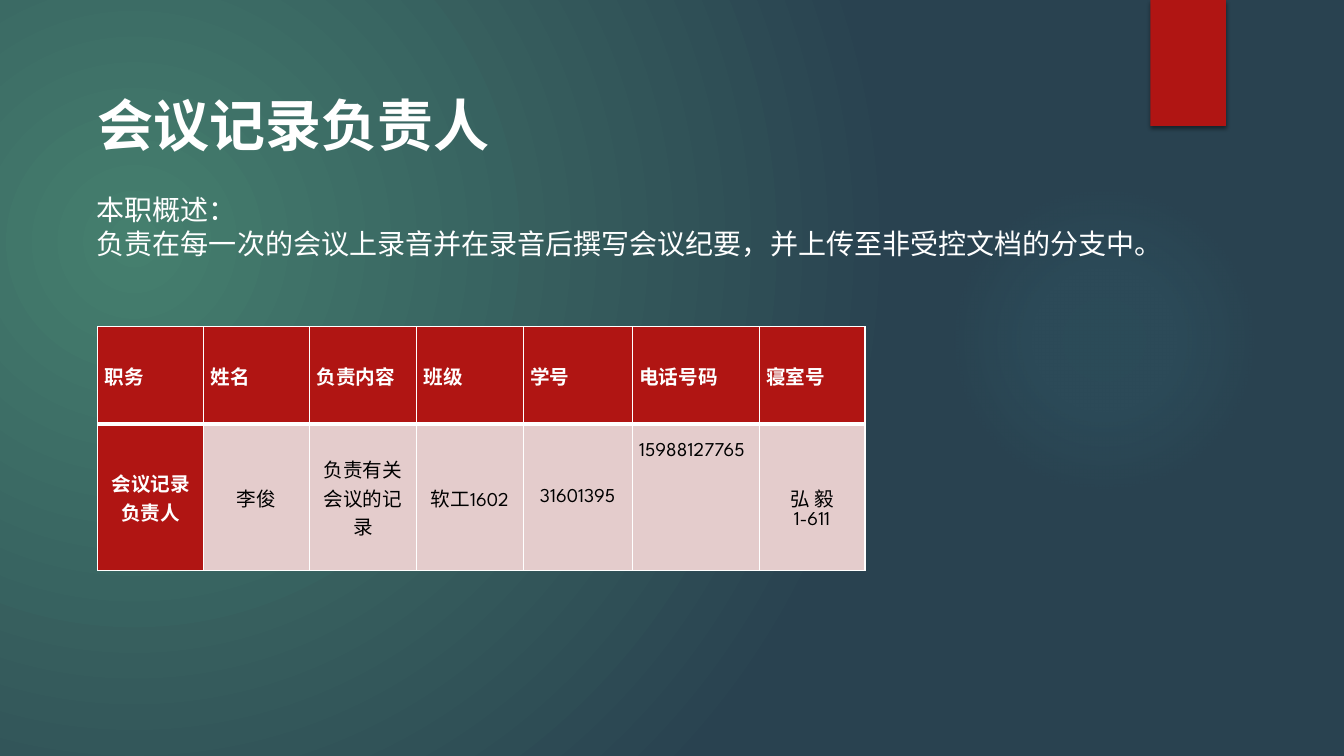
from lxml import etree
from pptx import Presentation
from pptx.dml.color import RGBColor
from pptx.enum import shapes, text
from pptx.oxml import ns
from pptx.util import Inches, Pt

COLORS = {"red": "B01513", "pink": "E4CCCC", "white": "FFFFFF", "black": "000000",
          "green": "457F6E", "navy": "294250", "glow": "50B9C1"}
ALIGN = text.PP_ALIGN
HEADERS = ["职务", "姓名", "负责内容", "班级", "学号", "电话号码", "寝室号"]
RECORDER = ["会议记录负责人", "李俊", "负责有关会议的记录", "软工1602",
            "31601395", "15988127765", "弘 毅\n1-611"]
COLUMN_WIDTHS = [1.05, 1.05, 1.06, 1.06, 1.08, 1.26, 1.05]
ROW_HEIGHTS = [0.97, 1.45]
PHONE, DORM = 5, 6


def rgb(name):
    return RGBColor.from_string(COLORS[name])


def add_xml(parent, tag, **attributes):
    child = etree.SubElement(parent, ns.qn(tag))
    for key, value in attributes.items():
        child.set(key, str(value))
    return child


def add_color(parent, name, alpha=100):
    color = add_xml(parent, "a:srgbClr", val=COLORS[name])
    if alpha < 100:
        add_xml(color, "a:alpha", val=alpha * 1000)


def set_radial(fill, holder, stops, focus):
    """Fill with a circular gradient; focus is left, top, right, bottom in percent."""
    fill.solid()
    solid = holder.find(ns.qn("a:solidFill"))
    gradient = etree.Element(ns.qn("a:gradFill"), rotWithShape="1")
    stop_list = add_xml(gradient, "a:gsLst")
    for position, name, alpha in stops:
        add_color(add_xml(stop_list, "a:gs", pos=position * 1000), name, alpha)
    circle = add_xml(gradient, "a:path", path="circle")
    add_xml(circle, "a:fillToRect", **{side: pct * 1000 for side, pct in zip("ltrb", focus)})
    holder.replace(solid, gradient)


def format_runs(paragraph, size, font, color, bold=False, east_asian=False):
    for run in paragraph.runs:
        run.font.size, run.font.name, run.font.bold = Pt(size), font, bold
        run.font.color.rgb = rgb(color)
        if east_asian:
            add_xml(run.font._element, "a:ea", typeface=font)


def place(shape, left, top, width, height):
    shape.left, shape.top = Inches(left), Inches(top)
    shape.width, shape.height = Inches(width), Inches(height)


def draw_backdrop(slide):
    background = slide.background.fill
    background.solid()
    set_radial(background, slide.element.find(".//" + ns.qn("p:bgPr")),
               [(0, "green", 100), (100, "navy", 100)], (45, 65, 125, 100))

    # Soft glow and red bookmark, both behind the text
    glow = slide.shapes.add_shape(shapes.MSO_SHAPE.OVAL, 0, 0, 0, 0)
    place(glow, 9.41, 1.83, 3.08, 3.08)
    set_radial(glow.fill, glow.element.spPr,
               [(0, "glow", 7), (36, "glow", 6), (69, "glow", 0)], (50, 50, 50, 50))
    bookmark = slide.shapes.add_shape(shapes.MSO_SHAPE.RECTANGLE, 0, 0, 0, 0)
    place(bookmark, 11.41, 0, 0.75, 1.25)
    bookmark.fill.solid()
    bookmark.fill.fore_color.rgb = rgb("red")
    for layer, decoration in enumerate((glow, bookmark), start=2):
        decoration.line.fill.background()
        decoration.shadow.inherit = False
        slide.shapes._spTree.insert(layer, decoration.element)
    effects = bookmark.element.spPr.find(ns.qn("a:effectLst"))
    shadow = add_xml(effects, "a:outerShdw", blurRad=Pt(3), dist=Pt(2),
                     dir=90 * 60000, rotWithShape=0)
    add_color(shadow, "black", 45)


def fill_heading(heading, left, top, width, height):
    place(heading, left, top, width, height)
    frame = heading.text_frame
    frame.text = "会议记录负责人"
    frame.vertical_anchor = text.MSO_ANCHOR.TOP
    frame.word_wrap = False
    frame.auto_size = text.MSO_AUTO_SIZE.NONE
    frame.paragraphs[0].alignment = ALIGN.LEFT
    format_runs(frame.paragraphs[0], 40, "Arial", "white", True, True)


def fill_overview(overview, left, top, width, height):
    place(overview, left, top, width, height)
    frame = overview.text_frame
    frame.text = "本职概述：\n负责在每一次的会议上录音并在录音后撰写会议纪要，并上传至非受控文档的分支中。"
    frame.vertical_anchor = text.MSO_ANCHOR.MIDDLE
    frame.word_wrap = True
    frame.auto_size = text.MSO_AUTO_SIZE.NONE
    for paragraph in frame.paragraphs:
        paragraph.alignment = ALIGN.LEFT
        paragraph.space_before = Pt(0)
        properties = paragraph._p.get_or_add_pPr()
        properties.set("marL", "0")
        properties.set("indent", str(Inches(0.33)))
        add_xml(properties, "a:buNone")
        format_runs(paragraph, 20, "Calibri", "white", east_asian=True)


def set_borders(cell, widths):
    """Draw white cell borders; they precede the fill in the cell properties."""
    properties = cell._tc.get_or_add_tcPr()
    for index, (side, width) in enumerate(widths.items()):
        line = etree.Element(ns.qn("a:ln" + side), w=str(Pt(width)))
        add_color(add_xml(line, "a:solidFill"), "white")
        properties.insert(index, line)


def fill_cell(cell, content, is_header, column):
    dark = is_header or column == 0
    cell.text_frame.text = content
    cell.margin_left = cell.margin_right = Inches(0.07)
    cell.margin_top = cell.margin_bottom = 0
    cell.vertical_anchor = text.MSO_ANCHOR.MIDDLE
    cell.fill.solid()
    cell.fill.fore_color.rgb = rgb("red" if dark else "pink")
    justified = is_header
    if not is_header and column in (PHONE, DORM):
        cell.margin_top = Inches(0.18)
        if column == PHONE:
            cell.vertical_anchor = text.MSO_ANCHOR.TOP
            justified = True
    for paragraph in cell.text_frame.paragraphs:
        paragraph.alignment = ALIGN.JUSTIFY if justified else ALIGN.CENTER
        format_runs(paragraph, 14, "League Spartan", "white" if dark else "black", dark)
    set_borders(cell, {"L": 1, "R": 1, "T": 1 if is_header else 3, "B": 3 if is_header else 1})


def draw_contact_table(slide, left, top):
    rows = [HEADERS, RECORDER]
    table = slide.shapes.add_table(
        len(rows), len(HEADERS), Inches(left), Inches(top),
        Inches(sum(COLUMN_WIDTHS)), Inches(sum(ROW_HEIGHTS))).table
    for column, width in zip(table.columns, COLUMN_WIDTHS):
        column.width = Inches(width)
    for row_index, (row, height) in enumerate(zip(rows, ROW_HEIGHTS)):
        table.rows[row_index].height = Inches(height)
        for column_index, content in enumerate(row):
            fill_cell(table.cell(row_index, column_index), content,
                      row_index == 0, column_index)


def main():
    deck = Presentation()
    deck.slide_width, deck.slide_height = Inches(13.33), Inches(7.5)
    slide = deck.slides.add_slide(deck.slide_layouts[1])
    draw_backdrop(slide)
    fill_heading(slide.shapes.title, 0.87, 0.85, 4.14, 0.77)
    fill_overview(slide.placeholders[1], 0.53, 1.86, 11.2, 0.77)
    draw_contact_table(slide, 0.97, 3.24)
    deck.save("out.pptx")


if __name__ == "__main__":
    main()
